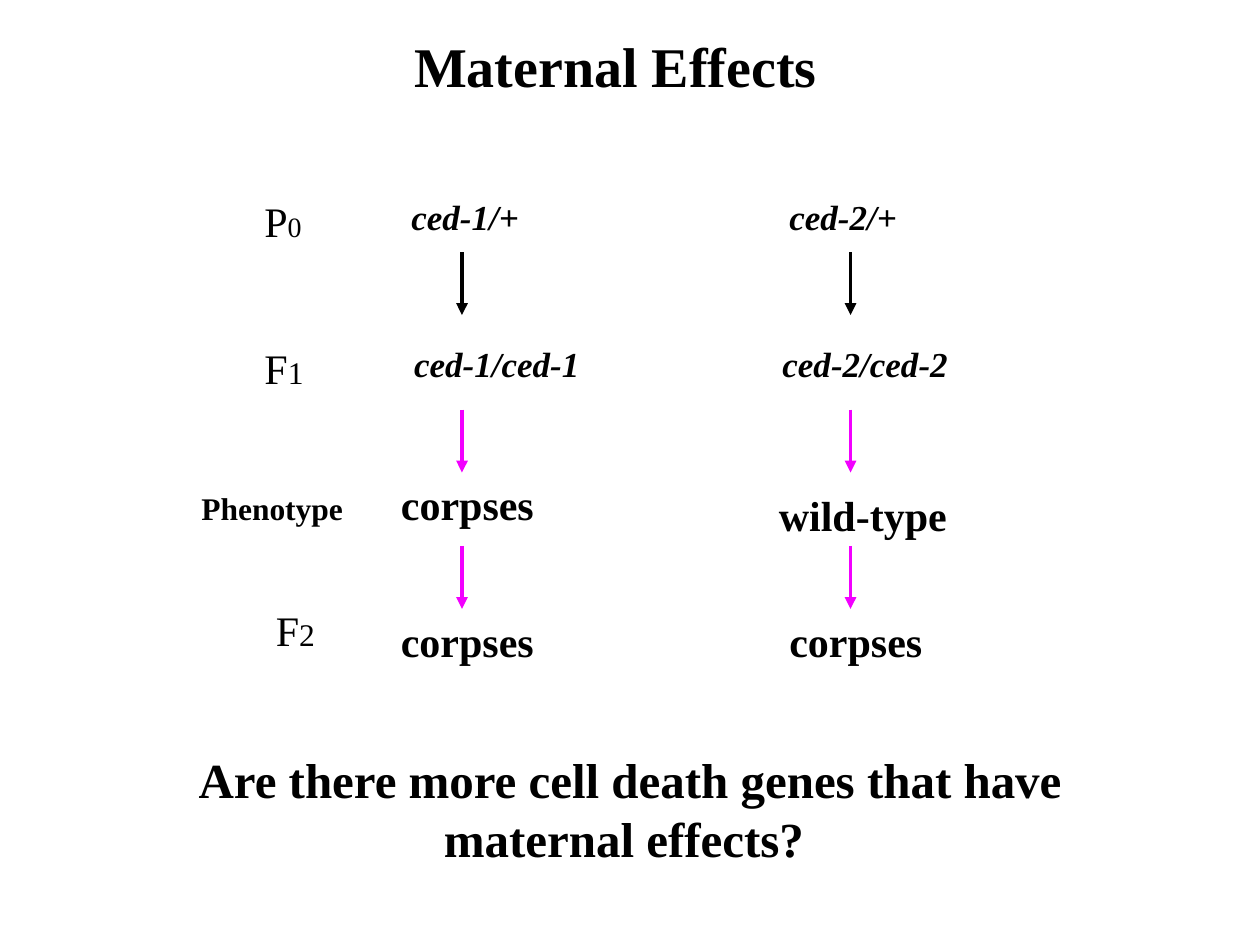
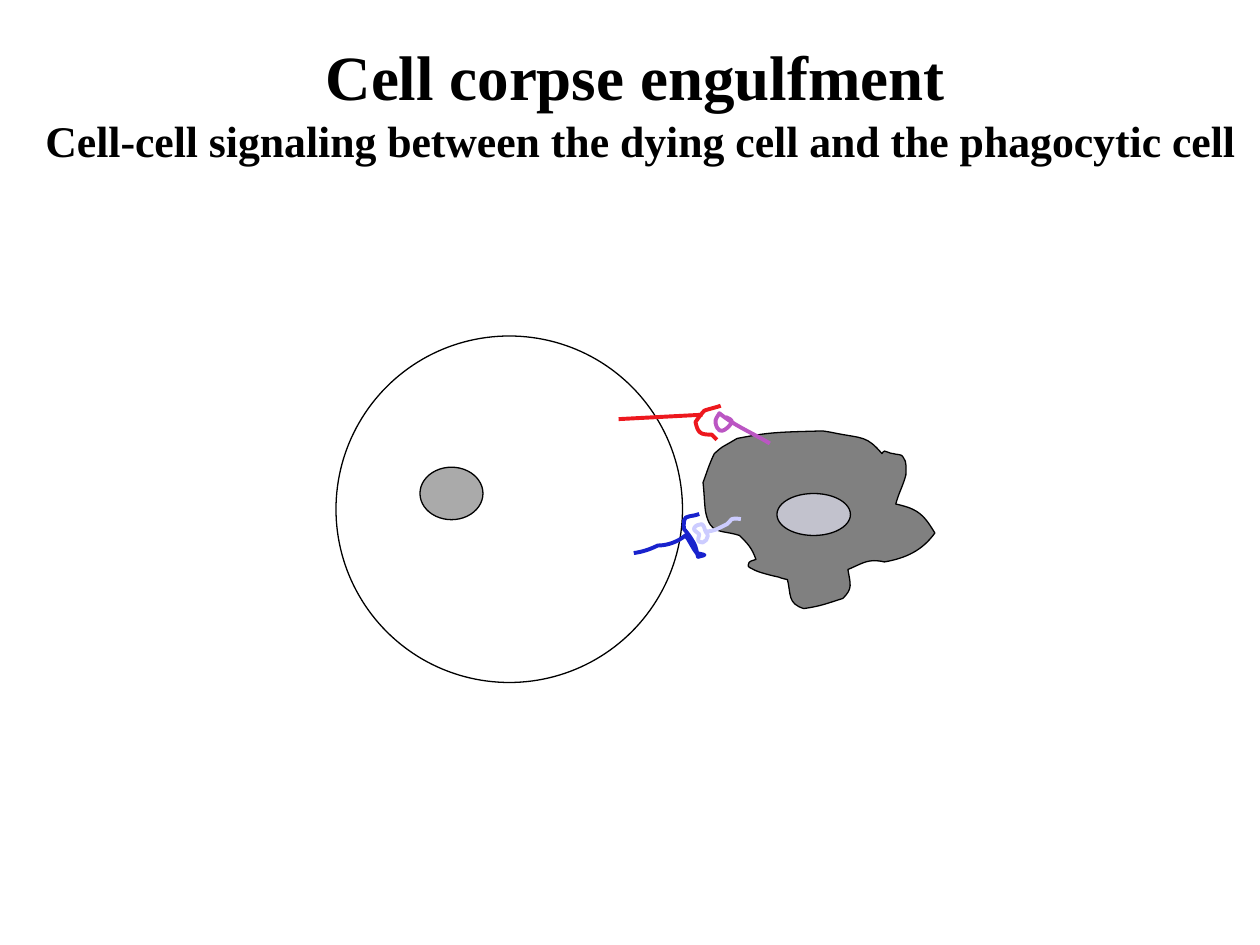
from lxml.etree import SubElement
from pptx import Presentation
from pptx.dml.color import RGBColor
from pptx.enum.shapes import MSO_CONNECTOR, MSO_SHAPE
from pptx.enum.text import MSO_AUTO_SIZE, PP_ALIGN
from pptx.oxml.ns import qn
from pptx.util import Pt

COLORS = {
    "ink": "000000", "paper": "FFFFFF", "magenta": "F200FF",
    "nucleus": "AAAAAA", "lobed": "808080", "lobed_nucleus": "C2C2CD",
    "red": "ED181E", "purple": "BB56C3", "blue": "1822CD", "lavender": "CCCCFF",
}
FONT = "Times New Roman"
GRID = 0.72
ARROW_LENGTH = 36
ARROWS = [(36, "ink"), (126, "magenta"), (204, "magenta")]

CED_1 = [
    ("ced-1/+", -36, 0, 132, True),
    ("ced-1/ced-1", -34.5, 84, 118, True),
    ("corpses", -42, 162, 96, False),
    ("corpses", -42, 240, 92, False),
]
CED_2 = [
    ("ced-2/+", -42, 0, 132, True),
    ("ced-2/ced-2", -46, 84, 142.5, True),
    ("wild-type", -48, 168, 114, False),
    ("corpses", -42, 240, 92, False),
]
GENERATIONS = [
    ([("P", 24, False), ("0", 16, False)], 36, 0, 36, 36),
    ([("F", 24, False), ("1", 18, False)], 36, 84, 37, 36),
    ([("Phenotype", 18, True)], 0, 168, 97, 29),
    ([("F", 24, False), ("2", 18, False)], 42.5, 234, 37, 36),
]

LOBED_OUTLINE = [
    (150, 60),
    (138, 46, 135, 48, 114, 44), (110, 43, 103, 42, 103, 42),
    (66, 43, 61, 43, 35, 48), (20, 57, 25, 53, 17, 60),
    (13, 68, 11, 75, 8, 83), (9, 91, 9, 99, 10, 106),
    (14, 125, 21, 120, 37, 125), (43, 131, 47, 135, 50, 144),
    (48, 145, 44, 145, 44, 148), (43, 150, 46, 151, 48, 152),
    (51, 154, 63, 157, 68, 158), (70, 159, 75, 160, 75, 160),
    (78, 172, 75, 179, 88, 183), (102, 181, 106, 179, 119, 175),
    (127, 167, 125, 164, 123, 152), (135, 147, 139, 143, 152, 146),
    (169, 143, 182, 137, 192, 123), (187, 115, 183, 108, 174, 104),
    (170, 102, 161, 100, 161, 100), (163, 92, 167, 85, 169, 77),
    (169, 72, 170, 67, 167, 63), (166, 60, 161, 61, 159, 60),
    (156, 60, 154, 58, 152, 58), (151, 58, 150, 60, 150, 60),
]
PURPLE_LIGAND = [
    (111, 52), (98, 44, 83, 38, 71, 28), (70, 30, 67, 33, 68, 36),
    (71, 49, 80, 37, 81, 35), (81, 33, 78, 32, 76, 31),
]
RED_RECEPTOR = [
    (72, 22), (70, 23, 61, 25, 59, 26), (56, 29, 52, 35, 52, 35),
    (54, 44, 56, 45, 65, 45), (66, 46, 69, 49, 69, 49),
]
LAVENDER_LIGAND = [
    (88, 12), (86, 12, 84, 11, 81, 12), (80, 12, 79, 15, 77, 16),
    (67, 21, 68, 21, 60, 22), (59, 20, 59, 17, 57, 16),
    (55, 16, 52, 17, 51, 19), (50, 21, 53, 22, 55, 24),
    (55, 26, 53, 29, 55, 30), (58, 33, 65, 26, 60, 22),
]
BLUE_RECEPTOR = [
    (55, 8), (51, 10, 43, 9, 43, 13), (43, 16, 42, 18, 43, 20),
    (44, 22, 46, 23, 47, 25), (53, 34, 52, 34, 54, 42),
    (61, 40, 61, 41, 53, 39), (49, 34, 48, 30, 44, 25),
    (38, 30, 30, 33, 22, 33), (16, 36, 10, 38, 3, 39),
]


def rgb(name):
    return RGBColor.from_string(COLORS[name])


def add_text(page, box, paragraphs, align=PP_ALIGN.LEFT, wrap=True):
    frame = page.shapes.add_textbox(*map(Pt, box)).text_frame
    frame.word_wrap = wrap
    frame.auto_size = MSO_AUTO_SIZE.SHAPE_TO_FIT_TEXT
    for index, spans in enumerate(paragraphs):
        para = frame.add_paragraph() if index else frame.paragraphs[0]
        para.alignment = align
        for text, size, bold, *italic in spans:
            span = para.add_run()
            span.text = text
            span.font.name = FONT
            span.font.size = Pt(size)
            span.font.bold = bold
            span.font.italic = any(italic)
            span.font.color.rgb = rgb("ink")


def add_line(page, start, end, color, arrow=False):
    line = page.shapes.add_connector(
        MSO_CONNECTOR.STRAIGHT, *map(Pt, (*start, *end)))
    line.line.color.rgb = rgb(color)
    line.line.width = Pt(2.25)
    properties = line._element.spPr
    if arrow:
        SubElement(properties.find(qn("a:ln")), qn("a:tailEnd"), type="triangle")
    SubElement(properties, qn("a:effectLst"))


def paint(shape, fill, line="ink", width=0.75):
    shape.shadow.inherit = False
    if fill:
        shape.fill.solid()
        shape.fill.fore_color.rgb = rgb(fill)
    else:
        shape.fill.background()
    shape.line.color.rgb = rgb(line)
    shape.line.width = Pt(width)


def add_ellipse(page, box, fill):
    paint(page.shapes.add_shape(MSO_SHAPE.OVAL, *map(Pt, box)), fill)


def bend_segments(shape):
    segments = list(shape._element.iter(qn("a:lnTo")))
    for first in range(0, len(segments), 3):
        curve = segments[first].makeelement(qn("a:cubicBezTo"))
        segments[first].addprevious(curve)
        for segment in segments[first:first + 3]:
            curve.append(segment[0])
            segment.getparent().remove(segment)


def add_curve(page, left, top, path, close=False, **style):
    values = [value for part in path for value in part]
    points = [(Pt(left + x * GRID), Pt(top + y * GRID))
              for x, y in zip(values[::2], values[1::2])]
    builder = page.shapes.build_freeform(*points[0], scale=1.0)
    builder.add_line_segments(points[1:], close=close)
    shape = builder.convert_to_shape()
    bend_segments(shape)
    paint(shape, **style)


def add_generations(page, left, top):
    for spans, x, y, width, height in GENERATIONS:
        add_text(page, (left + x, top + y, width, height), [spans], wrap=False)


def add_cross(page, axis, top, entries):
    for text, x, y, width, genotype in entries:
        size, height = (20, 31.5) if genotype else (24, 36)
        add_text(page, (axis + x, top + y, width, height),
                 [[(text, size, True, genotype)]])
    for y, color in ARROWS:
        add_line(page, (axis, top + y), (axis, top + y + ARROW_LENGTH),
                 color, arrow=True)


def add_round_cell(page, left, top):
    add_ellipse(page, (left, top, 198, 198), "paper")
    add_ellipse(page, (left + 48, top + 75, 36, 30), "nucleus")


def add_lobed_cell(page, left, top):
    add_curve(page, left, top, LOBED_OUTLINE, close=True, fill="lobed")
    add_ellipse(page, (left + 48, top + 66, 42, 24), "lobed_nucleus")


def add_signal(page, left, top, ligand, receptor):
    for path, color in (ligand, receptor):
        add_curve(page, left, top, path, fill=None, line=color, width=2.25)


def build_maternal_effects(page):
    add_text(page, (229.5, 14.5, 245, 46),
             [[("Maternal Effects", 32, True)]], wrap=False)
    add_generations(page, 108, 108)
    add_cross(page, 264, 108, CED_1)
    add_cross(page, 486, 108, CED_2)
    question = "Are there more cell death genes that have maternal effects? "
    add_text(page, (78, 425, 564, 75), [[(question, 28, True)]],
             PP_ALIGN.CENTER)


def build_engulfment(page):
    subtitle = ("Cell-cell signaling between the dying cell "
                "and the phagocytic cell")
    add_text(page, (12, 18, 708, 80.5),
             [[("Cell corpse engulfment", 36, True), (" ", 24, True)],
              [(subtitle, 25, True)]],
             PP_ALIGN.CENTER)
    add_round_cell(page, 192, 192)
    add_lobed_cell(page, 396, 216)
    add_signal(page, 360, 216, (PURPLE_LIGAND, "purple"), (RED_RECEPTOR, "red"))
    add_line(page, (353.5, 239.5), (401.5, 237), "red")
    add_signal(page, 360, 288, (LAVENDER_LIGAND, "lavender"),
               (BLUE_RECEPTOR, "blue"))


def main():
    deck = Presentation()
    deck.slide_width, deck.slide_height = Pt(720), Pt(540)
    for build in (build_maternal_effects, build_engulfment):
        page = deck.slides.add_slide(deck.slide_layouts[6])
        page.background.fill.solid()
        page.background.fill.fore_color.rgb = rgb("paper")
        build(page)
    deck.save("out.pptx")


if __name__ == "__main__":
    main()
